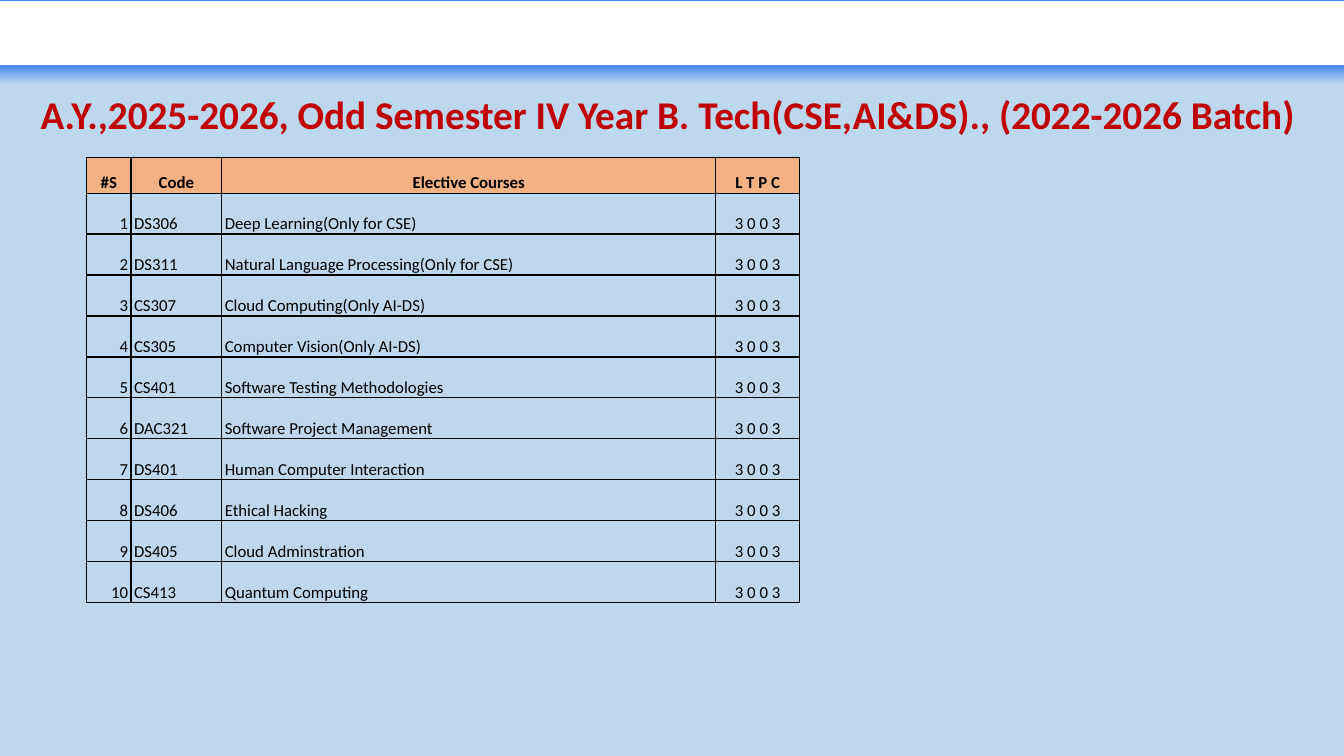
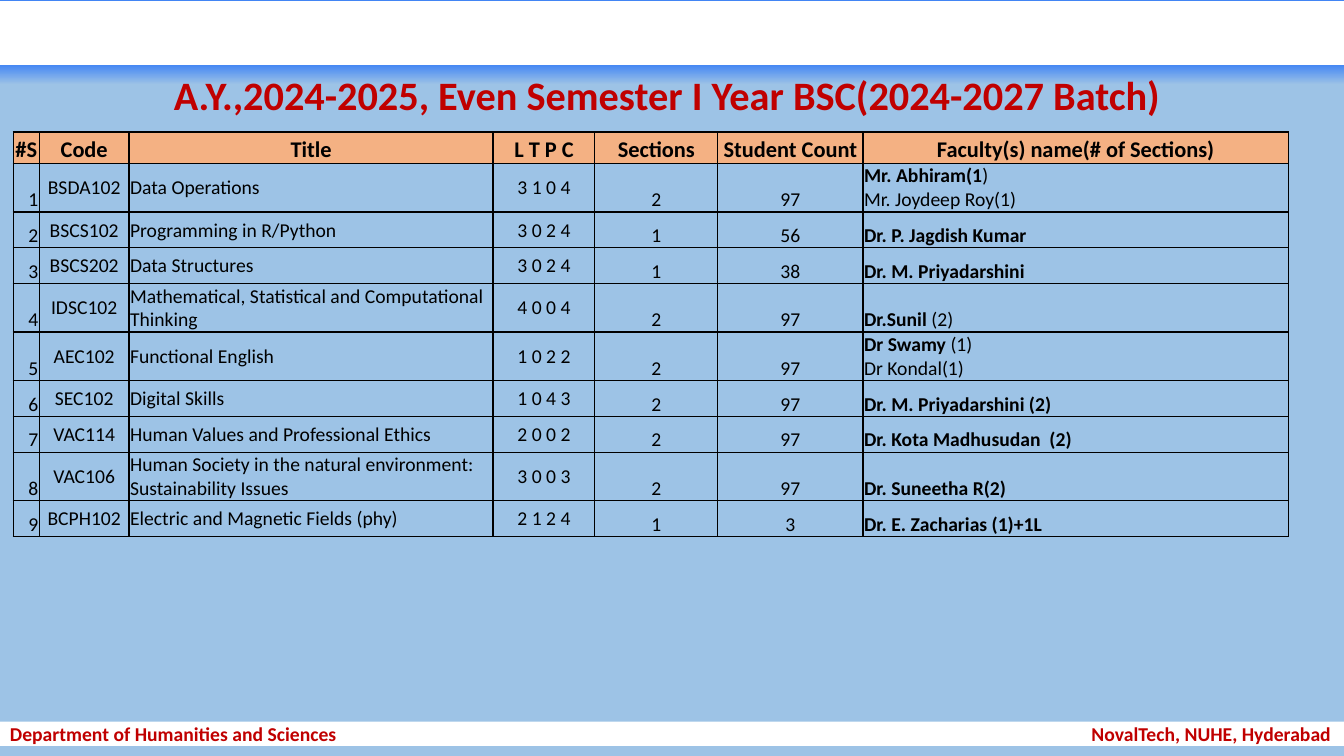
"""Two course tables under one shared title style and header band."""
from dataclasses import dataclass

from lxml.etree import SubElement as Sub
from pptx import Presentation
from pptx.dml.color import RGBColor as RGB
from pptx.enum.shapes import MSO_SHAPE as Kind
from pptx.enum.text import MSO_ANCHOR as Anchor, MSO_AUTO_SIZE as Auto, PP_ALIGN as Align
from pptx.oxml.ns import qn
from pptx.util import Inches, Pt

WIDE, HIGH = Inches(13.33), Inches(7.5)


@dataclass(frozen=True)
class Theme:
    """Colours and type sizes of the deck."""
    face: str = "Calibri"
    red: str = "C00000"
    ink: str = "000000"
    white: str = "FFFFFF"
    band: str = "4285F4"
    head: str = "F4B183"
    pale: str = "BDD7EE"
    blue: str = "9DC3E6"
    big: float = 28
    huge: float = 28.8
    large: float = 16
    mid: float = 14
    small: float = 12


@dataclass(frozen=True)
class Box:
    """A place in percent of the slide's width and height."""
    x: float
    y: float
    w: float
    h: float

    def place(self) -> tuple[int, int, int, int]:
        """Return left, top, width and height as lengths."""
        return across(self.x), down(self.y), across(self.w), down(self.h)


@dataclass(frozen=True)
class Col:
    """A column: its head, relative width, alignment and anchor."""
    head: str
    share: float
    align: Align = Align.CENTER
    anchor: Anchor = Anchor.BOTTOM


@dataclass(frozen=True)
class Grid:
    """A course table with row heights in percent of the slide."""
    box: Box
    cols: tuple[Col, ...]
    rows: tuple[tuple[str, ...], ...]
    top: float
    step: float
    head: float
    body: float
    pad: float


@dataclass(frozen=True)
class Page:
    """One slide of the deck."""
    title: str
    size: float
    box: Box
    back: str
    grid: Grid
    foot: str = ""


T = Theme()
BAND = Box(0, 0, 100, 11.2)
STRIP = Box(0, 0.27, 100, 8.27)
FOOT = Box(0, 95.47, 100, 3.2)

PICKS = (
    ("DS306", "Deep Learning(Only for CSE)"),
    ("DS311", "Natural Language Processing(Only for CSE)"),
    ("CS307", "Cloud Computing(Only AI-DS)"),
    ("CS305", "Computer Vision(Only AI-DS)"),
    ("CS401", "Software Testing Methodologies"),
    ("DAC321", "Software Project Management"),
    ("DS401", "Human Computer Interaction"),
    ("DS406", "Ethical Hacking"),
    ("DS405", "Cloud Adminstration"),
    ("CS413", "Quantum Computing"),
)
CORE = (
    ("BSDA102", "Data Operations", "3 1 0 4", "2", "97", "Mr. Abhiram(1|)\nMr. Joydeep Roy(1)"),
    ("BSCS102", "Programming in R/Python", "3 0 2 4", "1", "56", "Dr. P. Jagdish Kumar|"),
    ("BSCS202", "Data Structures", "3 0 2 4", "1", "38", "Dr. M. Priyadarshini|"),
    ("IDSC102", "Mathematical, Statistical and Computational Thinking", "4 0 0 4", "2", "97",
     "Dr.Sunil| (2)"),
    ("AEC102", "Functional English", "1 0 2 2", "2", "97", "Dr Swamy |(1)\nDr Kondal(1)"),
    ("SEC102", "Digital Skills", "1 0 4 3", "2", "97", "Dr. M. Priyadarshini (2)|"),
    ("VAC114", "Human Values and Professional Ethics", "2 0 0 2", "2", "97",
     "Dr. Kota Madhusudan  (2)|"),
    ("VAC106", "Human Society in the natural environment: Sustainability Issues", "3 0 0 3",
     "2", "97", "Dr. Suneetha R(2)|"),
    ("BCPH102", "Electric and Magnetic Fields (phy)", "2 1 2 4", "1", "3",
     "Dr. E. Zacharias (1)+1L|"),
)

PAGES = (
    Page(
        "A.Y.,2025-2026, Odd Semester IV Year B. Tech(CSE,AI&DS)., (2022-2026 Batch) ",
        T.big, Box(0.75, 12, 98.5, 6.8), T.pale,
        Grid(
            Box(6.45, 20.8, 53.04, 58.93),
            (Col("#S", 0.44, Align.RIGHT), Col("Code", 0.9, Align.LEFT),
             Col("Elective Courses", 4.9, Align.LEFT), Col("L T P C", 0.83)),
            tuple((*pick, "3 0 0 3") for pick in PICKS),
            4.75, 5.42, T.small, T.small, 0.03,
        ),
    ),
    Page(
        "A.Y.,2024-2025, Even Semester I Year BSC(2024-2027 Batch) ",
        T.huge, Box(0.75, 9.33, 98.5, 7.2), T.blue,
        Grid(
            Box(0.98, 17.47, 94.9, 46.4),
            (Col("#S", 0.26, Align.RIGHT), Col("Code", 0.89, anchor=Anchor.MIDDLE),
             Col("Title", 3.61, Align.LEFT, Anchor.MIDDLE),
             Col("L T P C", 1.01, anchor=Anchor.MIDDLE), Col("Sections", 1.22),
             Col("Student Count", 1.44), Col("Faculty(s) name(# of Sections)", 4.22, Align.LEFT)),
            CORE, 4.13, 4.72, T.large, T.mid, 0.01,
        ),
        "Department of Humanities and Sciences\tNovalTech, NUHE, Hyderabad",
    ),
)


def across(share: float) -> int:
    """Turn a percentage of the slide's width into a length."""
    return round(WIDE * share / 100)


def down(share: float) -> int:
    """Turn a percentage of the slide's height into a length."""
    return round(HIGH * share / 100)


def style(font, size: float, tint: str, bold: bool) -> None:
    """Set face, size, colour and weight of a font."""
    font.name, font.size, font.bold = T.face, Pt(size), bold
    font.color.rgb = RGB.from_string(tint)


def block(slide, box: Box, tint: str):
    """Add a plain rectangle with a matching outline."""
    shape = slide.shapes.add_shape(Kind.RECTANGLE, *box.place())
    shape.shadow.inherit = False
    shape.fill.solid()
    shape.fill.fore_color.rgb = RGB.from_string(tint)
    shape.line.color.rgb = RGB.from_string(tint)
    shape.line.width = Pt(1)
    return shape


def fade(slide, back: str) -> None:
    """Add the band that fades into the background, behind the title."""
    band = block(slide, BAND, T.band)
    band.line.fill.background()
    band.fill.gradient()
    band.fill.gradient_angle = 270
    for stop, tint, spot in zip(band.fill.gradient_stops, (T.band, back), (0.76, 1)):
        stop.color.rgb = RGB.from_string(tint)
        stop.position = spot
    slide.shapes._spTree.insert(2, band._element)


def head(slide, page: Page) -> None:
    """Place and format the title."""
    title = slide.shapes.title
    title.left, title.top, title.width, title.height = page.box.place()
    frame = title.text_frame
    frame.text = page.title
    frame.word_wrap, frame.auto_size = True, Auto.NONE
    frame.vertical_anchor = Anchor.MIDDLE
    para = frame.paragraphs[0]
    para.alignment, para.line_spacing = Align.CENTER, 0.9
    style(para.font, page.size, T.red, True)


def edge(cell) -> None:
    """Draw a thin line on all four sides of a cell."""
    props = cell._tc.get_or_add_tcPr()
    for side in ("lnL", "lnR", "lnT", "lnB"):
        line = Sub(props, qn(f"a:{side}"), w=str(Pt(1)))
        Sub(Sub(line, qn("a:solidFill")), qn("a:srgbClr"), val=T.ink)


def write(cell, text: str, size: float, align: Align, bold: bool = False) -> None:
    """Fill a cell line by line, with the words before a bar in bold."""
    frame = cell.text_frame
    for at, line in enumerate(text.split("\n")):
        para = frame.add_paragraph() if at else frame.paragraphs[0]
        para.alignment = align
        lead, bar, rest = line.partition("|")
        style(para.font, size, T.ink, bold or bool(bar and not rest))
        for words in filter(None, (lead, rest)):
            run = para.add_run()
            run.text = words
            if bar and rest:
                run.font.bold = words is lead


def chart(slide, grid: Grid) -> None:
    """Add a course table with numbered rows."""
    rows = [tuple(col.head for col in grid.cols)]
    rows += [(str(num), *row) for num, row in enumerate(grid.rows, 1)]
    table = slide.shapes.add_table(len(rows), len(grid.cols), *grid.box.place()).table
    table.first_row = table.horz_banding = False
    total = sum(col.share for col in grid.cols)
    for col, slot in zip(grid.cols, table.columns):
        slot.width = across(grid.box.w * col.share / total)
    for r, row in enumerate(rows):
        top = r == 0
        table.rows[r].height = down(grid.top if top else grid.step)
        for c, (col, text) in enumerate(zip(grid.cols, row)):
            cell = table.cell(r, c)
            cell.margin_left = cell.margin_right = Inches(0.01 if top else grid.pad)
            cell.margin_top, cell.margin_bottom = Inches(0.01), 0
            cell.vertical_anchor = Anchor.BOTTOM if top else col.anchor
            edge(cell)
            if top:
                cell.fill.solid()
                cell.fill.fore_color.rgb = RGB.from_string(T.head)
                write(cell, text, grid.head, Align.CENTER, True)
            else:
                cell.fill.background()
                write(cell, text, grid.body, col.align)


def foot(slide, text: str) -> None:
    """Add the footer strip, its second half set by a right tab."""
    strip = block(slide, FOOT, T.white)
    strip.line.fill.background()
    frame = strip.text_frame
    frame.text = text
    frame.word_wrap, frame.vertical_anchor = True, Anchor.MIDDLE
    frame.margin_top = frame.margin_bottom = 0
    para = frame.paragraphs[0]
    para.alignment = Align.LEFT
    tabs = Sub(para._p.get_or_add_pPr(), qn("a:tabLst"))
    Sub(tabs, qn("a:tab"), pos=str(across(98.3)), algn="r")
    style(para.font, T.mid, T.red, True)


def main() -> None:
    """Build and save the deck."""
    deck = Presentation()
    deck.slide_width, deck.slide_height = WIDE, HIGH
    for page in PAGES:
        slide = deck.slides.add_slide(deck.slide_layouts[5])
        slide.background.fill.solid()
        slide.background.fill.fore_color.rgb = RGB.from_string(page.back)
        fade(slide, page.back)
        head(slide, page)
        block(slide, STRIP, T.white)
        chart(slide, page.grid)
        if page.foot:
            foot(slide, page.foot)
    deck.save("out.pptx")


if __name__ == "__main__":
    main()
